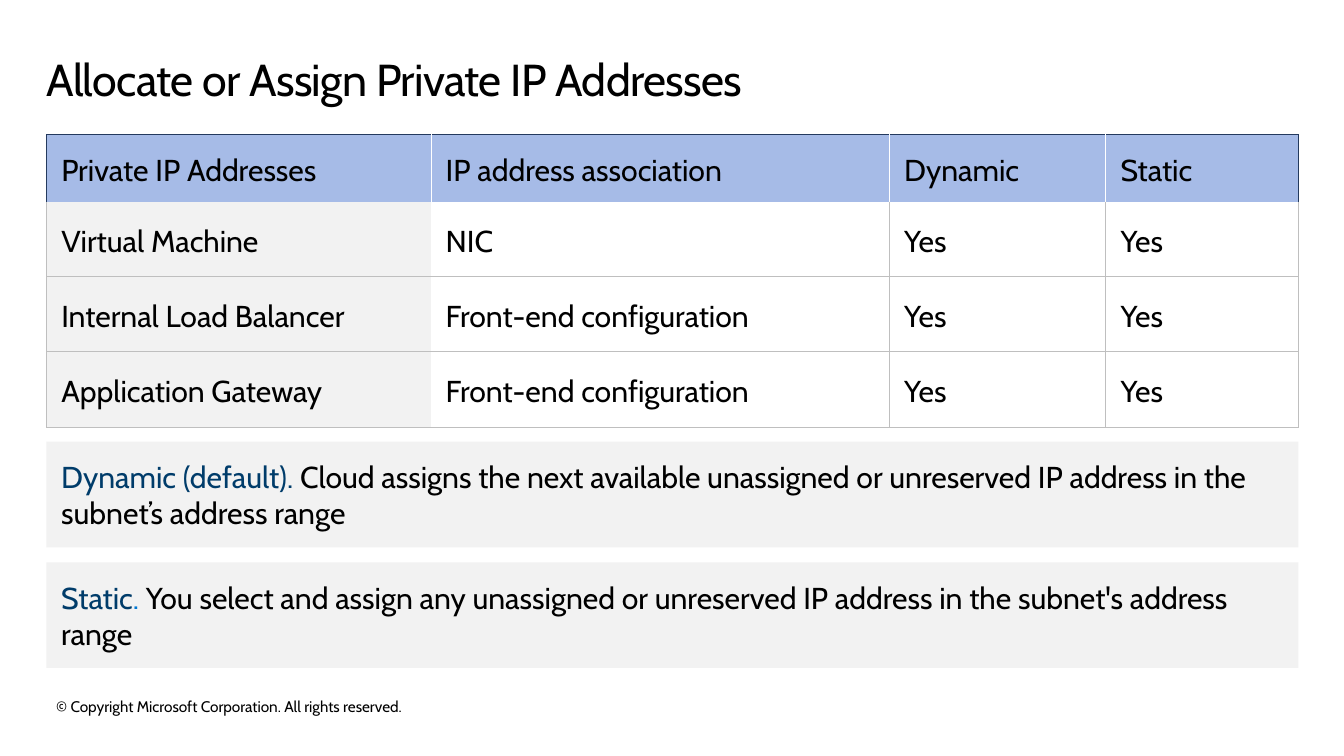
from typing import NamedTuple

from lxml import etree
from pptx import Presentation
from pptx.dml.color import RGBColor
from pptx.enum.shapes import MSO_SHAPE
from pptx.enum.text import MSO_ANCHOR, PP_ALIGN
from pptx.oxml.ns import qn
from pptx.util import Inches, Pt

RECTANGLE = MSO_SHAPE.RECTANGLE
TOP, MIDDLE = MSO_ANCHOR.TOP, MSO_ANCHOR.MIDDLE
LEFT_ALIGN = PP_ALIGN.LEFT

FONT = "Cabin"
BLACK, WHITE, NAVY, BLUE = "000000", "FFFFFF", "003C6A", "0078D4"
HEADER_FILL, HEADER_LINE = "A6BBE7", "243A5E"
LIGHT_GRAY, GRID_GRAY = "F2F2F2", "BFBFBF"
NO_STYLE = "{2D5ABB26-0587-4C30-8999-92F81FD0307C}"
LEFT, WIDTH = 0.47, 12.67

COLUMN_WIDTHS = [3.89, 4.64, 2.19, 1.95]
ROW_HEIGHTS = [0.68, 0.76, 0.76, 0.76]
ROWS = [
    ["Private IP Addresses", "IP address association", "Dynamic", "Static"],
    ["Virtual Machine", "NIC", "Yes", "Yes"],
    ["Internal Load Balancer", "Front-end configuration", "Yes", "Yes"],
    ["Application Gateway", "Front-end configuration", "Yes", "Yes"],
]


class Piece(NamedTuple):
    text: str
    color: str


class Definition(NamedTuple):
    top: float
    pieces: list[Piece]


DEFINITIONS = [
    Definition(4.47, [
        Piece("Dynamic (default). ", NAVY),
        Piece("Cloud assigns the next available unassigned or unreserved "
              "IP address in the subnet’s address range", BLACK),
    ]),
    Definition(5.69, [
        Piece("Static", NAVY),
        Piece(". ", BLUE),
        Piece("You select and assign any unassigned or unreserved "
              "IP address in the subnet's address range", BLACK),
    ]),
]


def rgb(color: str) -> RGBColor:
    return RGBColor.from_string(color)


def format_font(font, size: float, color: str = BLACK) -> None:
    font.name = FONT
    font.size = Pt(size)
    font.color.rgb = rgb(color)


def set_margins(frame, left: float, right: float) -> None:
    frame.margin_left, frame.margin_right = Inches(left), Inches(right)
    frame.margin_top = frame.margin_bottom = Inches(0.1)


def add_title(s, text: str) -> None:
    title = s.shapes.title
    title.left, title.top = Inches(LEFT), Inches(0.49)
    title.width, title.height = Inches(12.65), Inches(0.76)
    tf = title.text_frame
    tf.text = text
    tf.word_wrap = True
    tf.vertical_anchor = TOP
    set_margins(tf, 0, 0.16)
    p = tf.paragraphs[0]
    p.alignment = LEFT_ALIGN
    p.line_spacing = 0.9
    r = p.runs[0]
    format_font(r.font, 32.6)
    r.font._element.set("spc", "-50")


def set_borders(cell, borders: dict[str, str]) -> None:
    tc_pr = cell._tc.get_or_add_tcPr()
    for side in ("L", "R", "T", "B"):
        ln = etree.SubElement(tc_pr, qn(f"a:ln{side}"))
        if side in borders:
            ln.set("w", str(Pt(0.5)))
            fill = etree.SubElement(ln, qn("a:solidFill"))
            etree.SubElement(fill, qn("a:srgbClr")).set("val", borders[side])
        else:
            ln.set("w", "0")
            etree.SubElement(ln, qn("a:noFill"))


def cell_borders(row: int, col: int) -> dict[str, str]:
    last = len(COLUMN_WIDTHS) - 1
    if row == 0:
        return {
            "L": HEADER_LINE if col == 0 else WHITE,
            "R": HEADER_LINE if col == last else WHITE,
            "T": HEADER_LINE,
        }
    borders = {"B": GRID_GRAY}
    if row > 1:
        borders["T"] = GRID_GRAY
    if col != 1:
        borders["L"] = GRID_GRAY
    if col > 0:
        borders["R"] = GRID_GRAY
    return borders


def add_address_table(s) -> None:
    table = s.shapes.add_table(
        len(ROWS), len(COLUMN_WIDTHS), Inches(LEFT), Inches(1.36),
        Inches(WIDTH), Inches(sum(ROW_HEIGHTS))).table
    table.horz_banding = False
    table._tbl.tblPr.find(qn("a:tableStyleId")).text = NO_STYLE
    for column, width in zip(table.columns, COLUMN_WIDTHS):
        column.width = Inches(width)
    for i, (values, height) in enumerate(zip(ROWS, ROW_HEIGHTS)):
        table.rows[i].height = Inches(height)
        for j, value in enumerate(values):
            cell = table.cell(i, j)
            cell.text = value
            cell.vertical_anchor = MIDDLE
            set_margins(cell, 0.15, 0.15)
            p = cell.text_frame.paragraphs[0]
            p.line_spacing = 1.15
            format_font(p.runs[0].font, 22)
            set_borders(cell, cell_borders(i, j))
            if i == 0 or j == 0:
                cell.fill.solid()
                cell.fill.fore_color.rgb = rgb(
                    HEADER_FILL if i == 0 else LIGHT_GRAY)
            else:
                cell.fill.background()


def add_definition(s, definition: Definition) -> None:
    sp = s.shapes.add_shape(RECTANGLE, Inches(LEFT), Inches(definition.top),
                            Inches(WIDTH), Inches(1.07))
    sp.shadow.inherit = False
    sp.fill.solid()
    sp.fill.fore_color.rgb = rgb(LIGHT_GRAY)
    sp.line.fill.background()
    tf = sp.text_frame
    tf.word_wrap = True
    tf.vertical_anchor = MIDDLE
    set_margins(tf, 0.15, 0.15)
    p = tf.paragraphs[0]
    p.alignment = LEFT_ALIGN
    for piece in definition.pieces:
        r = p.add_run()
        r.text = piece.text
        format_font(r.font, 22, piece.color)


def add_copyright(s, text: str) -> None:
    sp = s.shapes.add_textbox(Inches(LEFT), Inches(7.01),
                              Inches(6.8), Inches(0.3))
    tf = sp.text_frame
    tf.text = text
    tf.word_wrap = True
    format_font(tf.paragraphs[0].runs[0].font, 11.2)


def main() -> None:
    prs = Presentation()
    prs.slide_width, prs.slide_height = Inches(13.6), Inches(7.65)
    s = prs.slides.add_slide(prs.slide_layouts[5])
    add_title(s, "Allocate or Assign Private IP Addresses")
    add_address_table(s)
    for definition in DEFINITIONS:
        add_definition(s, definition)
    add_copyright(s, "© Copyright Microsoft Corporation. All rights reserved.")
    prs.save("out.pptx")


if __name__ == "__main__":
    main()
